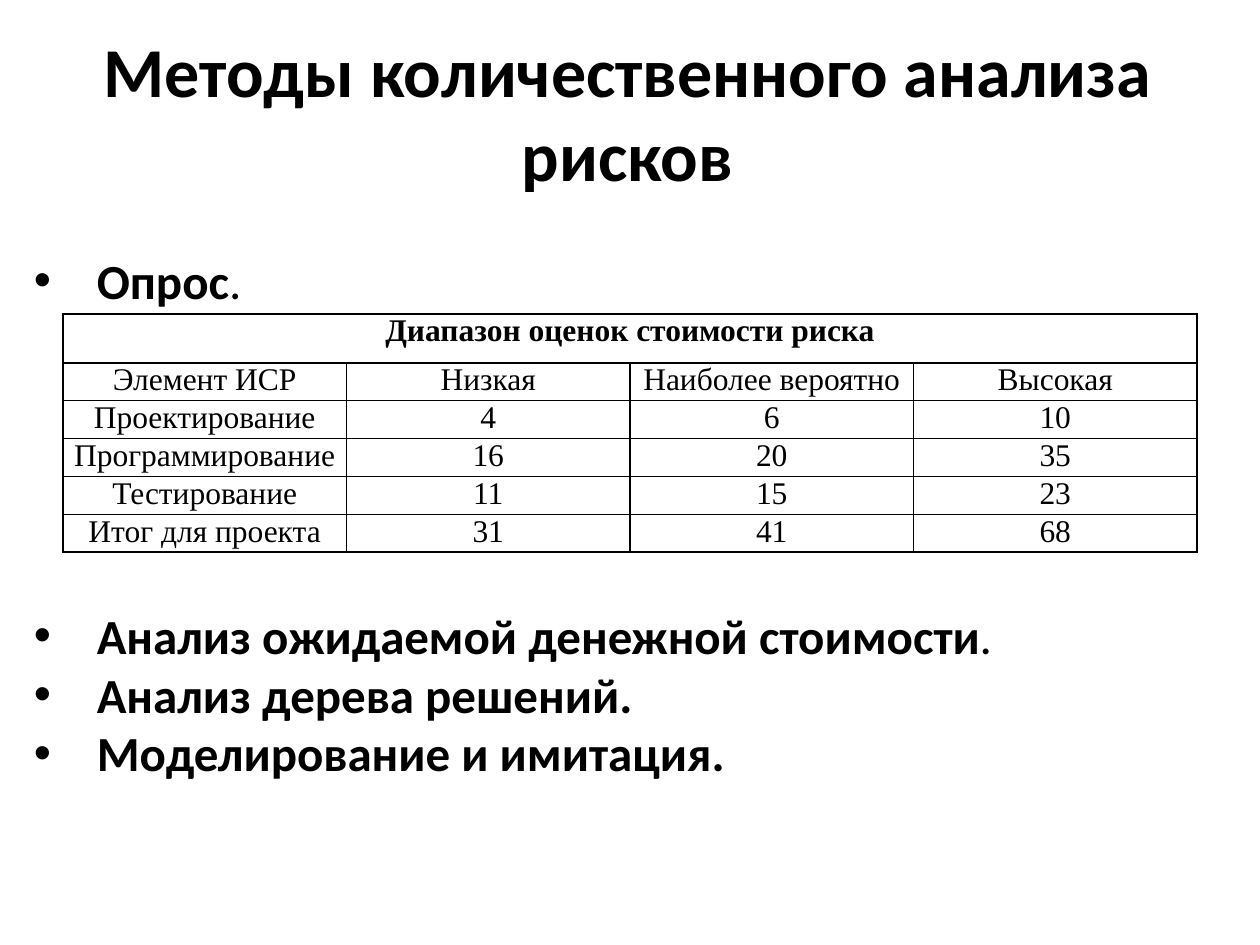
import pptx
import pptx.util
import pptx.dml.color
import pptx.enum.text
import pptx.oxml.ns
from lxml import etree

Inches, Pt = pptx.util.Inches, pptx.util.Pt
BLACK = pptx.dml.color.RGBColor(0, 0, 0)
WHITE = pptx.dml.color.RGBColor(255, 255, 255)
CENTER = pptx.enum.text.PP_ALIGN.CENTER

TITLE = "Методы количественного анализа рисков"
METHODS = [
    [("Опрос", True), (".", False)],
    [("Анализ ожидаемой денежной стоимости", True), (".", False)],
    [("Анализ дерева решений.", True)],
    [("Моделирование и имитация.", True)],
]
TABLE_GAP = Pt(169)
ESTIMATES_TITLE = "Диапазон оценок стоимости риска"
ESTIMATES = [
    ("Элемент ИСР", "Низкая", "Наиболее вероятно", "Высокая"),
    ("Проектирование", "4", "6", "10"),
    ("Программирование", "16", "20", "35"),
    ("Тестирование", "11", "15", "23"),
    ("Итог для проекта", "31", "41", "68"),
]
TITLE_FONT = {"name": "Calibri", "size": Pt(40), "bold": True}
METHOD_FONT = {"name": "Calibri", "size": Pt(28)}
ESTIMATE_FONT = {"name": "Times New Roman", "size": Pt(18)}
CELL_MARGINS = {
    "margin_left": Inches(0.07), "margin_right": Inches(0.07),
    "margin_top": 0, "margin_bottom": 0,
}


def apply(target, values):
    for attribute, value in values.items():
        setattr(target, attribute, value)


def add_run(paragraph, text, font):
    run = paragraph.add_run()
    run.text = text
    apply(run.font, font)
    run.font.color.rgb = BLACK


def add_text_frame(slide, left, top, width, height):
    box = slide.shapes.add_textbox(Inches(left), Inches(top), Inches(width), Inches(height))
    box.text_frame.word_wrap = True
    return box.text_frame


def add_child(parent, tag, **attributes):
    return etree.SubElement(parent, pptx.oxml.ns.qn(tag), attributes)


def add_bullet(paragraph):
    properties = paragraph._p.get_or_add_pPr()
    properties.set("marL", str(Inches(0.5)))
    properties.set("indent", str(-Inches(0.5)))
    add_child(properties, "a:buFont", typeface="Arial")
    add_child(properties, "a:buChar", char="•")


def format_cell(cell):
    apply(cell, CELL_MARGINS)
    properties = cell._tc.get_or_add_tcPr()
    for side in ("a:lnL", "a:lnR", "a:lnT", "a:lnB"):
        border = add_child(properties, side, w=str(Pt(1)))
        add_child(add_child(border, "a:solidFill"), "a:srgbClr", val=str(BLACK))
    cell.fill.solid()
    cell.fill.fore_color.rgb = WHITE


def write_cell(cell, text, bold):
    paragraph = cell.text_frame.paragraphs[0]
    paragraph.alignment = CENTER
    add_run(paragraph, text, {**ESTIMATE_FONT, "bold": bold})


def add_estimates(slide):
    heights = [0.39] + [0.3] * len(ESTIMATES)
    columns = len(ESTIMATES[0])
    table = slide.shapes.add_table(
        len(heights), columns, Inches(0.5), Inches(2.49), Inches(9), Inches(sum(heights))
    ).table
    for row, height in zip(table.rows, heights):
        row.height = Inches(height)
    for cell in table.iter_cells():
        format_cell(cell)
    table.cell(0, 0).merge(table.cell(0, columns - 1))
    write_cell(table.cell(0, 0), ESTIMATES_TITLE, True)
    for row, values in enumerate(ESTIMATES, 1):
        for column, value in enumerate(values):
            write_cell(table.cell(row, column), value, False)


def main():
    presentation = pptx.Presentation()
    presentation.slide_width, presentation.slide_height = Inches(10), Inches(7.5)
    slide = presentation.slides.add_slide(presentation.slide_layouts[6])

    heading = add_text_frame(slide, 0.54, 0.17, 8.88, 1.45).paragraphs[0]
    heading.alignment = CENTER
    add_run(heading, TITLE, TITLE_FONT)

    methods = add_text_frame(slide, 0.17, 1.94, 9.64, 4.34)
    for index, parts in enumerate(METHODS):
        method = methods.add_paragraph() if index else methods.paragraphs[0]
        if index == 1:
            method.space_before = TABLE_GAP
        add_bullet(method)
        for text, bold in parts:
            add_run(method, text, {**METHOD_FONT, "bold": bold})

    add_estimates(slide)
    presentation.save("out.pptx")


if __name__ == "__main__":
    main()
